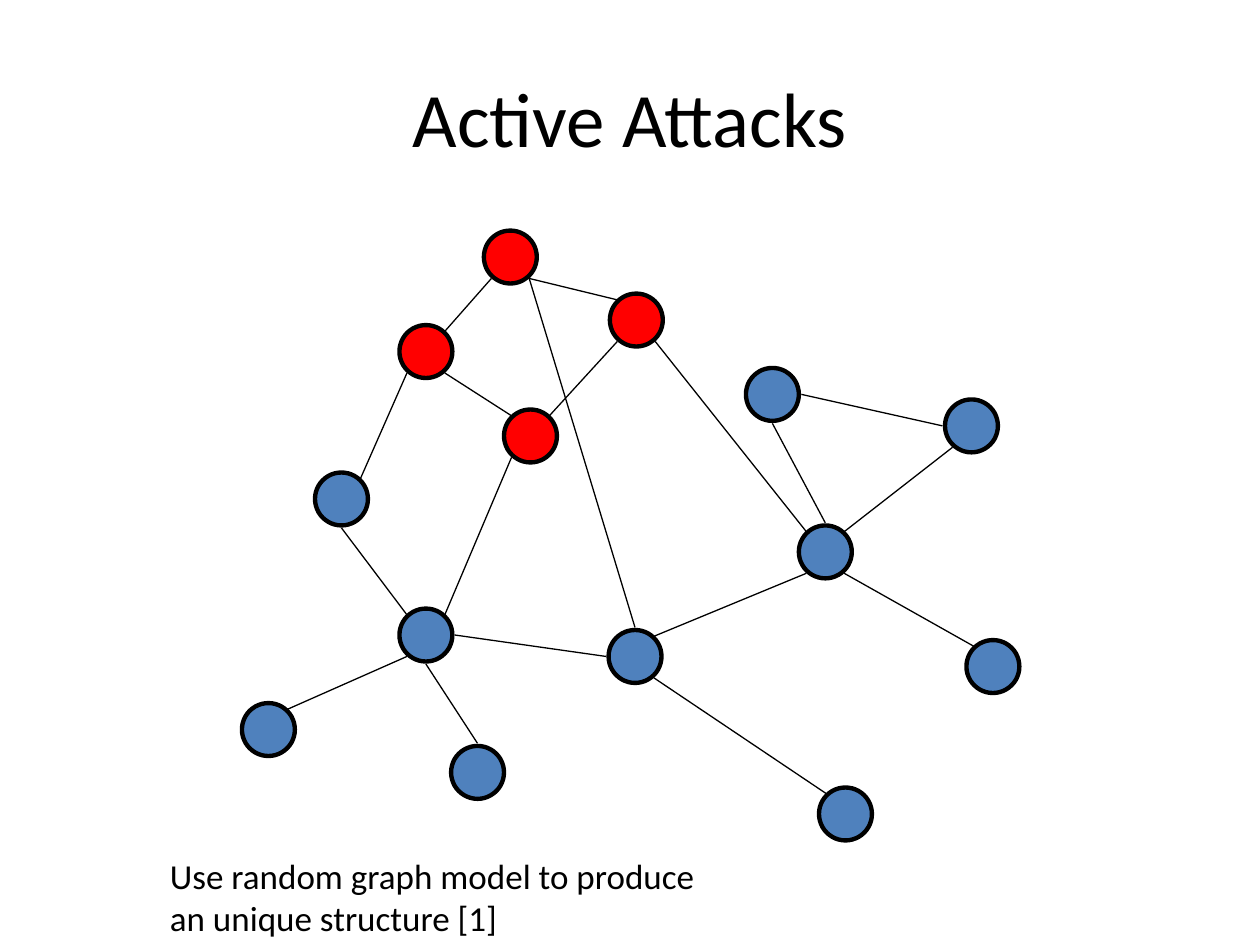
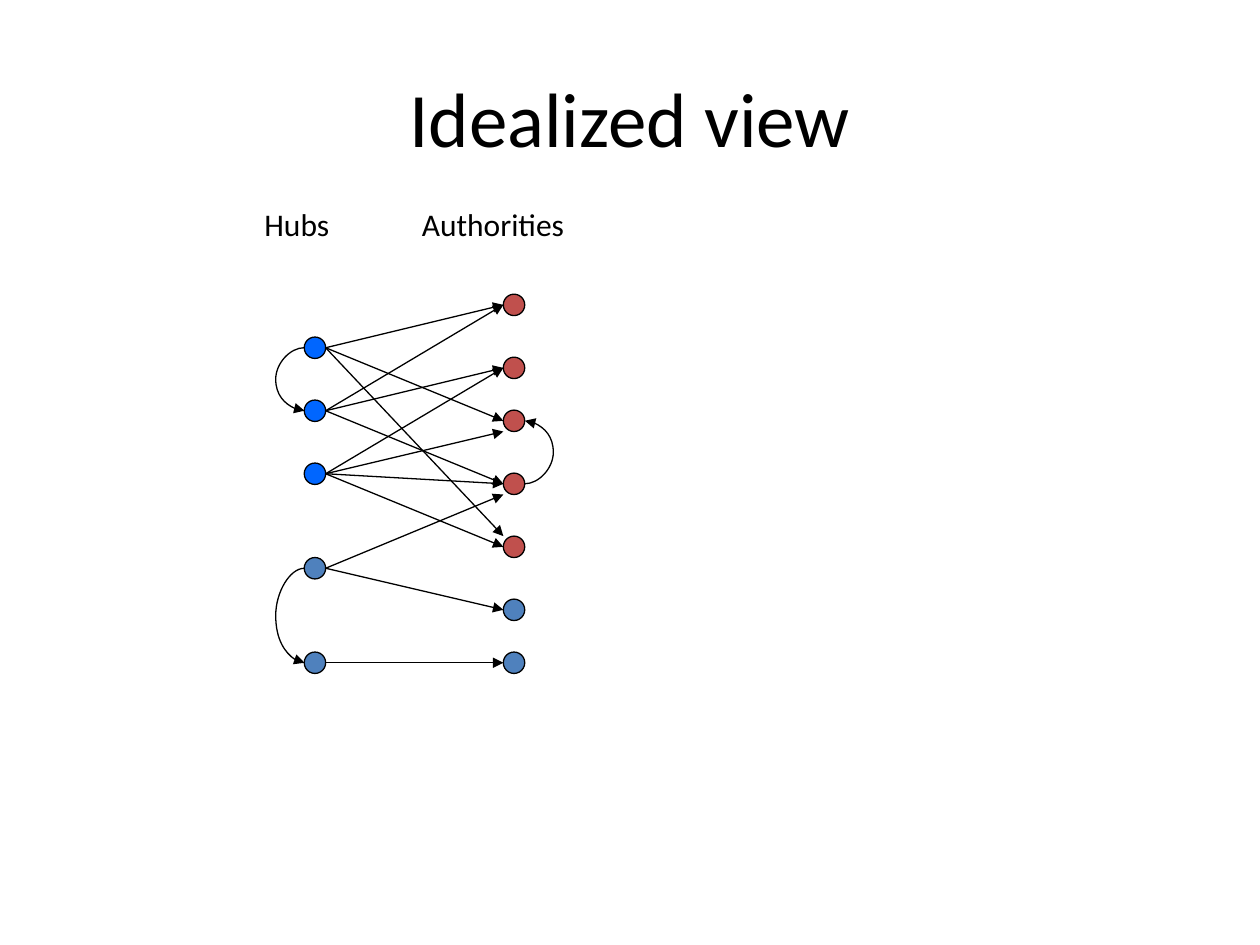
from lxml import etree
from pptx import Presentation
from pptx.dml.color import RGBColor
from pptx.enum.shapes import MSO_CONNECTOR, MSO_SHAPE
from pptx.enum.text import MSO_ANCHOR, PP_ALIGN
from pptx.oxml.ns import qn
from pptx.util import Emu, Inches, Pt

OVAL = MSO_SHAPE.OVAL
STRAIGHT = MSO_CONNECTOR.STRAIGHT
CURVE = MSO_CONNECTOR.CURVE
CENTER = PP_ALIGN.CENTER
MIDDLE = MSO_ANCHOR.MIDDLE

FONT = "Calibri"
COLORS = {"ink": "000000", "node": "4F81BD", "attacker": "FF0000",
          "hub": "0066FF", "authority": "C0504D"}
TITLE_BOX = (0.5, 0.3, 9, 1.25)
TITLE_ONLY = 5

NODE_SIZE = 0.42
SITES = {"n": (0, -0.23), "s": (0, 0.23), "w": (-0.23, 0), "e": (0.23, 0),
         "nw": (-0.15, -0.16), "ne": (0.15, -0.16),
         "sw": (-0.15, 0.17), "se": (0.15, 0.17)}
MEMBERS = {"hub": (1.46, 3.21), "left": (0.21, 3.96), "low": (1.87, 4.3),
           "west": (0.79, 2.13), "east": (4.63, 2.55), "peak": (4.21, 1.3),
           "far": (5.79, 1.55), "core": (3.12, 3.38), "south": (4.79, 4.63),
           "right": (5.96, 3.46)}
ATTACKERS = {"a1": (2.13, 0.21), "a2": (3.13, 0.71),
             "a3": (1.46, 0.96), "a4": (2.29, 1.63)}
EDGES = ["left ne hub sw", "low n hub s", "hub nw west s", "core w hub e",
         "right nw east se", "core ne east sw", "east n peak s",
         "far w peak e", "east ne far sw", "south nw core se",
         "a4 sw hub ne", "a2 se east nw", "a1 se core n", "a3 sw west ne",
         "a3 ne a1 sw", "a1 se a2 nw", "a3 se a4 nw", "a4 ne a2 sw"]

DOT_SIZE = 0.17
RADIUS = DOT_SIZE / 2
COLUMN_GAP = 1.58
LOOP_WIDTH = Emu(1588)
LOOP_ADJUST = 14400000
HUBS = [("hub", 0.34), ("hub", 0.84), ("hub", 1.34),
        ("node", 2.09), ("node", 2.84)]
AUTHORITIES = [("authority", 0), ("authority", 0.5), ("authority", 0.92),
               ("authority", 1.42), ("authority", 1.92),
               ("node", 2.42), ("node", 2.84)]
LINKS = [(0, 0, 0), (0, 2, 0), (0, 4, -RADIUS), (1, 0, 0), (1, 1, 0),
         (1, 3, 0), (2, 1, 0), (2, 4, 0), (2, 2, RADIUS), (2, 3, 0),
         (3, 5, 0), (3, 3, RADIUS), (4, 6, 0)]


def rgb(name):
    """Return the named palette colour."""
    return RGBColor.from_string(COLORS[name])


def style_text(frame, size):
    """Give every run of a frame the deck's font and ink."""
    for paragraph in frame.paragraphs:
        for run in paragraph.runs:
            run.font.name = FONT
            run.font.size = Pt(size)
            run.font.color.rgb = rgb("ink")


def add_titled_slide(deck, heading):
    """Add a slide with the shared title style."""
    slide = deck.slides.add_slide(deck.slide_layouts[TITLE_ONLY])
    title = slide.shapes.title
    title.left, title.top, title.width, title.height = map(Inches, TITLE_BOX)
    title.text_frame.text = heading
    title.text_frame.vertical_anchor = MIDDLE
    title.text_frame.paragraphs[0].alignment = CENTER
    style_text(title.text_frame, 44)
    return slide


def add_label(slide, box, text, size, wrap):
    """Add a plain text box."""
    frame = slide.shapes.add_textbox(*map(Inches, box)).text_frame
    frame.word_wrap = wrap
    frame.text = text
    style_text(frame, size)


def add_circle(slide, center, size, color, outline):
    """Draw an outlined circle around a centre."""
    x, y = center
    circle = slide.shapes.add_shape(
        OVAL, Inches(x - size / 2), Inches(y - size / 2),
        Inches(size), Inches(size))
    circle.shadow.inherit = False
    circle.fill.solid()
    circle.fill.fore_color.rgb = rgb(color)
    circle.line.color.rgb = rgb("ink")
    circle.line.width = Pt(outline)


def add_line(slide, kind, start, end, arrow=False):
    """Draw a thin line between two points, given as lengths."""
    line = slide.shapes.add_connector(kind, *start, *end)
    line.line.color.rgb = rgb("ink")
    line.line.width = Pt(0.75)
    properties = line._element.spPr
    if arrow:
        outline = properties.find(qn("a:ln"))
        etree.SubElement(outline, qn("a:tailEnd"), type="triangle")
    etree.SubElement(properties, qn("a:effectLst"))
    return line


def add_loop(slide, x, top, bottom, leftward):
    """Draw a curved arrow: down on the left side, or up on the right."""
    near, far = Inches(x), Inches(x) + LOOP_WIDTH
    start, end = (far, near) if leftward else (near, far)
    loop = add_line(slide, CURVE, (start, Inches(bottom)),
                    (end, Inches(top)), arrow=True)
    properties = loop._element.spPr
    if leftward:
        properties.find(qn("a:xfrm")).set("rot", "10800000")
    guides = properties.find(qn("a:prstGeom")).get_or_add_avLst()
    adjust = -LOOP_ADJUST if leftward else LOOP_ADJUST
    etree.SubElement(guides, qn("a:gd"), name="adj1", fmla=f"val {adjust}")


def draw_network(slide, left, top):
    """Draw the social graph with the attackers' nodes in red."""
    centers = {}
    for color, group in (("node", MEMBERS), ("attacker", ATTACKERS)):
        for name, (x, y) in group.items():
            centers[name] = (left + x, top + y)
            add_circle(slide, centers[name], NODE_SIZE, color, 2.5)

    def site(name, side):
        """Return the point where an edge meets a node."""
        return [Inches(c + d) for c, d in zip(centers[name], SITES[side])]

    for edge in EDGES:
        source, source_side, target, target_side = edge.split()
        add_line(slide, STRAIGHT, site(source, source_side),
                 site(target, target_side))


def draw_hubs_and_authorities(slide, left, top):
    """Draw two columns of pages and the links between them."""
    right = left + COLUMN_GAP
    for x, pages in ((left, HUBS), (right, AUTHORITIES)):
        for color, y in pages:
            add_circle(slide, (x, top + y), DOT_SIZE, color, 0.75)
    for hub, authority, shift in LINKS:
        start = (left + RADIUS, top + HUBS[hub][1])
        end = (right - RADIUS, top + AUTHORITIES[authority][1] + shift)
        add_line(slide, STRAIGHT, map(Inches, start), map(Inches, end), True)
    for x, pages, first, leftward in ((left - RADIUS, HUBS, 0, True),
                                      (left - RADIUS, HUBS, 3, True),
                                      (right + RADIUS, AUTHORITIES, 2, False)):
        add_loop(slide, x, top + pages[first][1],
                 top + pages[first + 1][1], leftward)


def build_attacks(deck):
    """Build the slide on active attacks."""
    slide = add_titled_slide(deck, "Active Attacks")
    draw_network(slide, 1.92, 1.83)
    add_label(slide, (1.25, 6.73, 4.42, 0.77),
              "Use random graph model to produce an unique structure [1]",
              20, True)


def build_idealized_view(deck):
    """Build the slide on hubs and authorities."""
    slide = add_titled_slide(deck, "Idealized view")
    draw_hubs_and_authorities(slide, 2.5, 2.42)
    add_label(slide, (2, 1.58, 0.85, 0.43), "Hubs", 18, False)
    add_label(slide, (3.25, 1.58, 1.51, 0.43), "Authorities", 18, False)


def main():
    """Build and save the deck."""
    deck = Presentation()
    deck.slide_width, deck.slide_height = Inches(10), Inches(7.5)
    build_attacks(deck)
    build_idealized_view(deck)
    deck.save("out.pptx")


if __name__ == "__main__":
    main()
